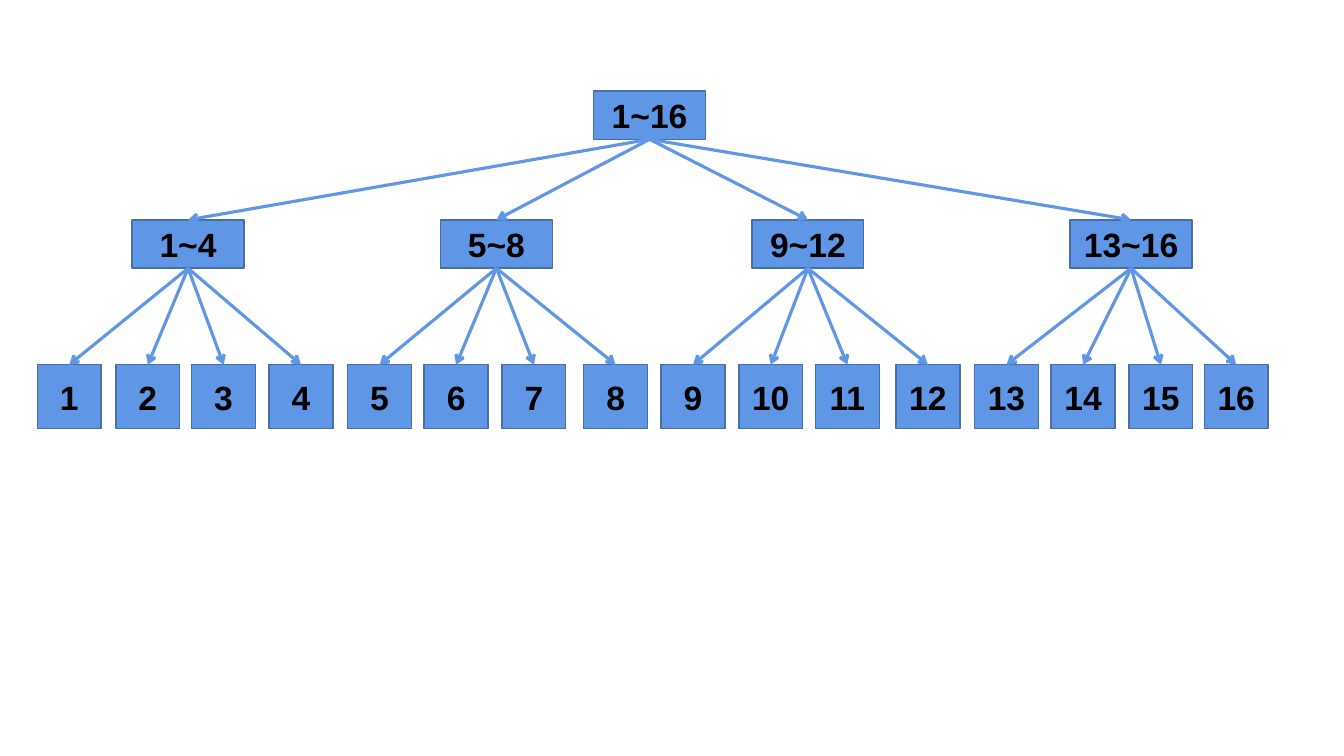
from lxml import etree
from pptx import Presentation
from pptx.dml.color import RGBColor
from pptx.enum.shapes import MSO_CONNECTOR, MSO_SHAPE
from pptx.enum.text import MSO_ANCHOR, PP_ALIGN
from pptx.oxml.ns import qn
from pptx.util import Cm, Pt

RECT = MSO_SHAPE.RECTANGLE
STRAIGHT = MSO_CONNECTOR.STRAIGHT
MIDDLE = MSO_ANCHOR.MIDDLE
CENTER = PP_ALIGN.CENTER

COLORS = {"node": "6096E6", "border": "476FAA", "text": "000000"}
FONT = "Arial"
TOP_SITE, BOTTOM_SITE = 0, 2

# Sizes and row tops in cm
NODE_W, NODE_H, LEAF = 2.82, 1.22, 1.61
ROOT_TOP, BRANCH_TOP, LEAF_TOP = 2.29, 5.54, 9.19

# Branch label, left, width, and the lefts of its leaves
BRANCHES = [
    ("1~4", 3.33, NODE_W, (0.94, 2.92, 4.83, 6.78)),
    ("5~8", 11.1, NODE_W, (8.76, 10.69, 12.65, 14.71)),
    ("9~12", 18.95, NODE_W, (16.66, 18.62, 20.55, 22.58)),
    ("13~16", 26.97, 3.07, (24.56, 26.49, 28.45, 30.35)),
]


def rgb(name):
    return RGBColor.from_string(COLORS[name])


def add_node(slide, text, left, top, width, height):
    sp = slide.shapes.add_shape(RECT, Cm(left), Cm(top), Cm(width), Cm(height))
    sp.shadow.inherit = False
    sp.fill.solid()
    sp.fill.fore_color.rgb = rgb("node")
    sp.line.color.rgb = rgb("border")
    sp.line.width = Pt(1)
    tf = sp.text_frame
    tf.text = text
    tf.vertical_anchor = MIDDLE
    p = tf.paragraphs[0]
    p.alignment = CENTER
    font = p.runs[0].font
    font.name, font.size, font.bold = FONT, Pt(24), True
    font.color.rgb = rgb("text")
    return sp


def add_arrow(slide, parent, child):
    cx = slide.shapes.add_connector(STRAIGHT, 0, 0, 0, 0)
    cx.begin_connect(parent, BOTTOM_SITE)
    cx.end_connect(child, TOP_SITE)
    cx.line.color.rgb = rgb("node")
    cx.line.width = Pt(2.25)
    etree.SubElement(cx.line._get_or_add_ln(), qn("a:tailEnd"), type="arrow")
    etree.SubElement(cx._element.spPr, qn("a:effectLst"))


def add_branch(slide, label, left, width, leaf_lefts, first):
    """Draw one branch with its numbered leaves and return its top node."""
    branch = add_node(slide, label, left, BRANCH_TOP, width, NODE_H)
    for number, leaf_left in enumerate(leaf_lefts, first):
        leaf = add_node(slide, str(number), leaf_left, LEAF_TOP, LEAF, LEAF)
        add_arrow(slide, branch, leaf)
    return branch


def add_tree(slide):
    # Root
    root = add_node(slide, "1~16", 14.96, ROOT_TOP, NODE_W, NODE_H)
    # Branches and leaves
    first = 1
    for label, left, width, leaf_lefts in BRANCHES:
        branch = add_branch(slide, label, left, width, leaf_lefts, first)
        add_arrow(slide, root, branch)
        first += len(leaf_lefts)


def main():
    prs = Presentation()
    prs.slide_width, prs.slide_height = Cm(33.87), Cm(19.05)
    add_tree(prs.slides.add_slide(prs.slide_layouts[6]))
    prs.save("out.pptx")


if __name__ == "__main__":
    main()
